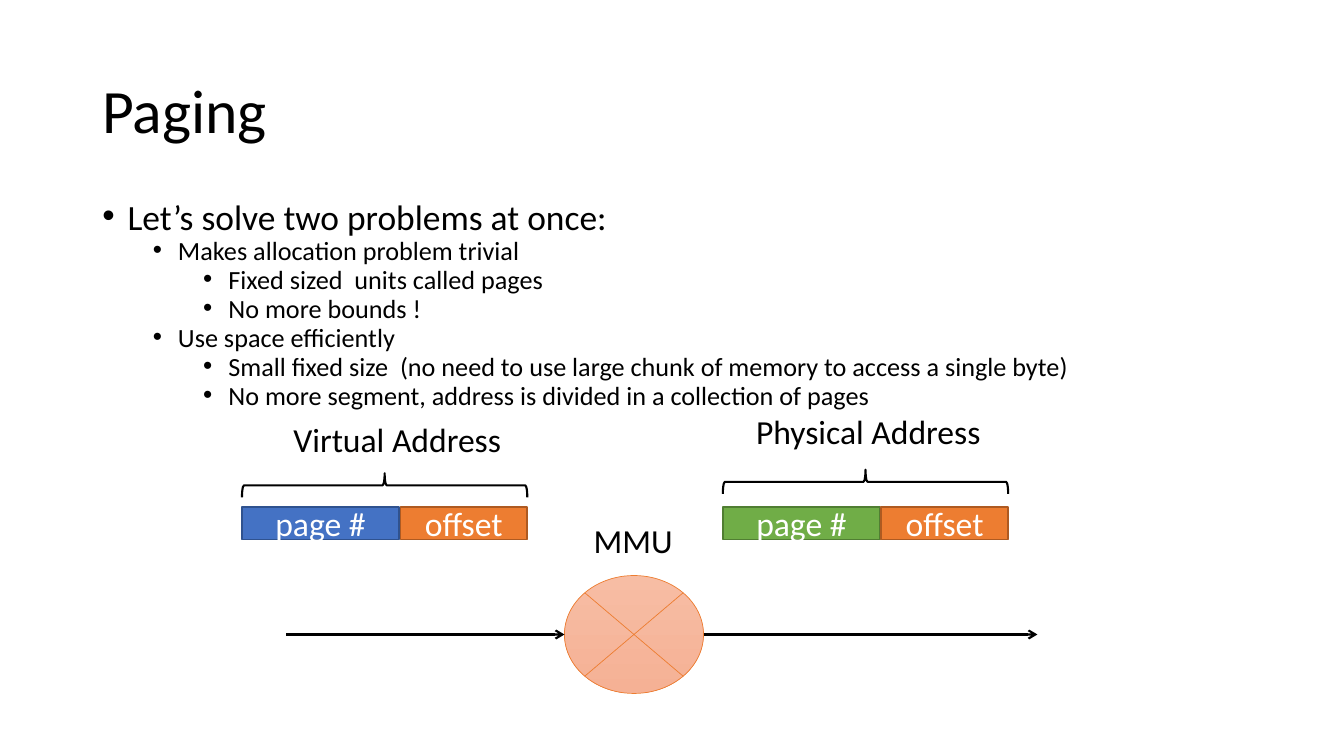
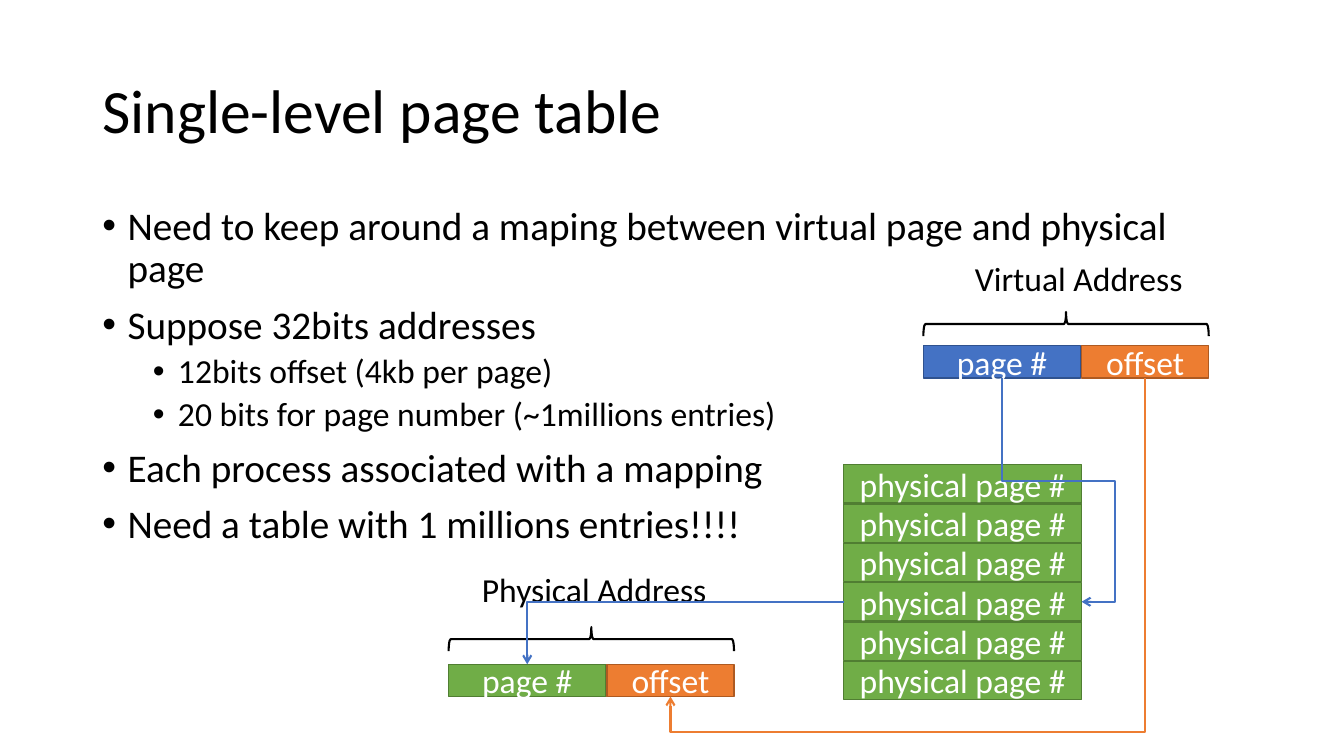
import dataclasses

import pptx
import pptx.dml.color
import pptx.enum.shapes
import pptx.enum.text
import pptx.oxml.ns
import pptx.util
from lxml import etree

RGB = pptx.dml.color.RGBColor
SHAPE = pptx.enum.shapes.MSO_SHAPE
CONNECTOR = pptx.enum.shapes.MSO_CONNECTOR
ANCHOR = pptx.enum.text.MSO_ANCHOR
ALIGN = pptx.enum.text.PP_ALIGN
Pt = pptx.util.Pt
qn = pptx.oxml.ns.qn

BLACK = RGB(0x00, 0x00, 0x00)
WHITE = RGB(0xFF, 0xFF, 0xFF)
BLUE = RGB(0x44, 0x72, 0xC4)
BLUE_EDGE = RGB(0x2F, 0x52, 0x8F)
ORANGE = RGB(0xED, 0x7D, 0x31)
ORANGE_EDGE = RGB(0xAE, 0x5A, 0x21)
GREEN = RGB(0x70, 0xAD, 0x47)
GREEN_EDGE = RGB(0x50, 0x7E, 0x32)
PEACH_TOP = RGB(0xF7, 0xBD, 0xA4)
PEACH_BOTTOM = RGB(0xF5, 0xB1, 0x95)

FONT = "Calibri"
SLIDE_WIDTH = pptx.util.Inches(13.33)
SLIDE_HEIGHT = pptx.util.Inches(7.5)
TITLE_BOX = (6.88, 5.33, 86.25, 19.33)
BODY_BOX = (6.88, 26.67, 86.25, 63.47)
LABEL_HEIGHT = 7.2
ADDRESS_WIDTH, ADDRESS_HEIGHT = 21.23, 4.27
PAGE_WIDTH, OFFSET_START, OFFSET_WIDTH = 11.7, 11.78, 9.45
BRACE_HEIGHT = 3.2


@dataclasses.dataclass
class AddressKind:
    """Wording, colours and label placement of one kind of address."""

    label: str
    fill: RGB
    edge: RGB
    label_shift: float
    label_width: float
    label_rise: float
    brace_rise: float


VIRTUAL = AddressKind("Virtual Address", BLUE, BLUE_EDGE, 2.85, 17.7, 12.6, 4.47)
PHYSICAL = AddressKind("Physical Address", GREEN, GREEN_EDGE, 1.5, 18.98, 13.6, 4.93)

PAGING_POINTS = [
    (0, "Let’s solve two problems at once:"),
    (1, "Makes allocation problem trivial"),
    (2, "Fixed sized  units called pages"),
    (2, "No more bounds !"),
    (1, "Use space efficiently"),
    (2, "Small fixed size  (no need to use large chunk of memory to access a single byte)"),
    (2, "No more segment, address is divided in a collection of pages"),
]
TABLE_POINTS = [
    (0, "Need to keep around a maping between virtual page and physical page"),
    (0, "Suppose 32bits addresses"),
    (1, "12bits offset (4kb per page)"),
    (1, "20 bits for page number (~1millions entries)"),
    (0, "Each process associated with a mapping"),
    (0, "Need a table with 1 millions entries!!!!"),
]


def across(share):
    """Turn a percentage of the slide width into a length."""
    return pptx.util.Emu(round(SLIDE_WIDTH * share / 100))


def down(share):
    """Turn a percentage of the slide height into a length."""
    return pptx.util.Emu(round(SLIDE_HEIGHT * share / 100))


def place(box):
    """Turn a box in percentages into left, top, width and height."""
    left, top, width, height = box
    return across(left), down(top), across(width), down(height)


def set_font(para, size, color):
    """Give a paragraph the shared typeface with a size and colour."""
    para.font.name = FONT
    para.font.size = Pt(size)
    para.font.color.rgb = color


def set_margins(frame):
    """Give a diagram text frame its wider margins."""
    frame.margin_left = frame.margin_right = pptx.util.Inches(0.13)
    frame.margin_top = frame.margin_bottom = pptx.util.Inches(0.07)


def add_title(page, text):
    """Add the slide title."""
    frame = page.shapes.add_textbox(*place(TITLE_BOX)).text_frame
    frame.word_wrap = True
    frame.vertical_anchor = ANCHOR.MIDDLE
    para = frame.paragraphs[0]
    para.text = text
    para.line_spacing = 0.9
    set_font(para, 44, BLACK)


def add_points(page, points, top_size, sub_size, spacing):
    """Add the bulleted body text."""
    frame = page.shapes.add_textbox(*place(BODY_BOX)).text_frame
    frame.word_wrap = True
    for index, (level, text) in enumerate(points):
        para = frame.add_paragraph() if index else frame.paragraphs[0]
        para.text = text
        para.level = level
        para.line_spacing = spacing
        para.space_before = Pt(5 if level else 10)
        set_font(para, sub_size if level else top_size, BLACK)
        props = para._p.get_or_add_pPr()
        props.set("marL", str(pptx.util.Inches(0.25 + 0.5 * level)))
        props.set("indent", str(pptx.util.Inches(-0.25)))
        etree.SubElement(props, qn("a:buFont"), typeface="Arial")
        etree.SubElement(props, qn("a:buChar"), char="•")


def add_label(page, box, text):
    """Add a one-line diagram label."""
    frame = page.shapes.add_textbox(*place(box)).text_frame
    frame.word_wrap = False
    frame.auto_size = pptx.enum.text.MSO_AUTO_SIZE.SHAPE_TO_FIT_TEXT
    set_margins(frame)
    frame.paragraphs[0].text = text
    set_font(frame.paragraphs[0], 24, BLACK)


def add_field(page, box, text, fill, edge):
    """Add a filled rectangle with centred white text."""
    field = page.shapes.add_shape(SHAPE.RECTANGLE, *place(box))
    field.shadow.inherit = False
    field.fill.solid()
    field.fill.fore_color.rgb = fill
    field.line.color.rgb = edge
    field.line.width = Pt(1)
    frame = field.text_frame
    frame.word_wrap = False
    frame.vertical_anchor = ANCHOR.MIDDLE
    set_margins(frame)
    para = frame.paragraphs[0]
    para.text = text
    para.alignment = ALIGN.CENTER
    set_font(para, 24, WHITE)
    return field


def add_brace(page, box):
    """Add a brace that spans the box and points upward."""
    left, top, width, height = place(box)
    shift = (width - height) // 2
    brace = page.shapes.add_shape(
        SHAPE.LEFT_BRACE, left + shift, top - shift, height, width)
    brace.rotation = 90
    brace.shadow.inherit = False
    brace.fill.background()
    brace.line.color.rgb = BLACK
    brace.line.width = Pt(1.5)


def add_address(page, left, top, kind):
    """Add a labelled address and return its page and offset fields."""
    number = add_field(page, (left, top, PAGE_WIDTH, ADDRESS_HEIGHT),
                       "page #", kind.fill, kind.edge)
    offset = add_field(page, (left + OFFSET_START, top, OFFSET_WIDTH, ADDRESS_HEIGHT),
                       "offset", ORANGE, ORANGE_EDGE)
    add_brace(page, (left, top - kind.brace_rise, ADDRESS_WIDTH, BRACE_HEIGHT))
    add_label(page, (left + kind.label_shift, top - kind.label_rise,
                     kind.label_width, LABEL_HEIGHT), kind.label)
    return number, offset


def style_arrow(arrow, color):
    """Give a connector its colour, arrowhead and no shadow."""
    arrow.line.color.rgb = color
    arrow.line.width = Pt(1.5)
    props = arrow._element.spPr
    etree.SubElement(props.find(qn("a:ln")), qn("a:tailEnd"), type="arrow")
    etree.SubElement(props, qn("a:effectLst"))


def add_flow(page, start, end, height):
    """Add a horizontal black arrow."""
    arrow = page.shapes.add_connector(
        CONNECTOR.STRAIGHT, across(start), down(height), across(end), down(height))
    style_arrow(arrow, BLACK)


def add_route(page, begin, end, color, turn, flip="", bends=()):
    """Join two (shape, side) ends with a bent arrow turned by an angle."""
    arrow = page.shapes.add_connector(CONNECTOR.ELBOW, 0, 0, 0, 0)
    arrow.begin_connect(*begin)
    arrow.end_connect(*end)
    if turn % 180:
        width, height = arrow.width, arrow.height
        arrow.left += (width - height) // 2
        arrow.top += (height - width) // 2
        arrow.width, arrow.height = height, width
    frame = arrow._element.spPr.find(qn("a:xfrm"))
    for name in ("flipH", "flipV"):
        frame.set(name, "1" if name == flip else "0")
    frame.set("rot", str(turn * 60000))
    outline = arrow._element.spPr.find(qn("a:prstGeom"))
    outline.set("prst", f"bentConnector{len(bends) + 2}")
    guides = outline.find(qn("a:avLst"))
    if guides is None:
        guides = etree.SubElement(outline, qn("a:avLst"))
    for index, bend in enumerate(bends, 1):
        etree.SubElement(guides, qn("a:gd"), name=f"adj{index}",
                         fmla=f"val {round(bend * 100000)}")
    style_arrow(arrow, color)


def add_mmu(page, box):
    """Add the MMU junction with its label and the arrows through it."""
    left, top, width, height = box
    junction = page.shapes.add_shape(SHAPE.FLOWCHART_SUMMING_JUNCTION, *place(box))
    junction.shadow.inherit = False
    junction.fill.gradient()
    junction.fill.gradient_angle = 270
    for stop, color, position in zip(
            junction.fill.gradient_stops, (PEACH_TOP, PEACH_BOTTOM), (0, 1)):
        stop.color.rgb = color
        stop.position = position
    junction.line.color.rgb = ORANGE
    junction.line.width = Pt(0.5)
    middle = top + height / 2
    add_flow(page, left - 2 * width, left, middle)
    add_flow(page, left + width, left + 3.4 * width, middle)
    add_label(page, (left + 1.2, top - 8.26, 7.95, LABEL_HEIGHT), "MMU")


def add_page_table(page, box, rows):
    """Add the stacked table entries and return them."""
    left, top, width, height = box
    pitch = height / rows
    return [add_field(page, (left, top + row * pitch, width, 5.07),
                      "physical page #", GREEN, GREEN_EDGE) for row in range(rows)]


def build_paging(page):
    """Fill the slide on paging."""
    add_title(page, "Paging")
    add_points(page, PAGING_POINTS, 25.3, 18.7, 0.7)
    add_mmu(page, (42, 76.13, 10.35, 15.6))
    add_address(page, 18, 67.07, VIRTUAL)
    add_address(page, 53.78, 67.07, PHYSICAL)


def build_page_table(page):
    """Fill the slide on the single-level page table."""
    add_title(page, "Single-level page table")
    add_points(page, TABLE_POINTS, 28, 24, 0.9)
    physical_page, physical_offset = add_address(page, 33.38, 87.87, PHYSICAL)
    virtual_page, virtual_offset = add_address(page, 68.7, 45.73, VIRTUAL)
    entry = add_page_table(page, (62.78, 61.47, 17.7, 31.2), 6)[3]
    add_route(page, (virtual_page, 2), (entry, 3), BLUE, 270, "flipH", (0.46, 1.42))
    add_route(page, (entry, 1), (physical_page, 0), BLUE, 180, "flipV")
    add_route(page, (virtual_offset, 2), (physical_offset, 2), ORANGE, 90, bends=(1.11,))


def main():
    """Build and save the deck."""
    deck = pptx.Presentation()
    deck.slide_width = SLIDE_WIDTH
    deck.slide_height = SLIDE_HEIGHT
    for build in (build_paging, build_page_table):
        build(deck.slides.add_slide(deck.slide_layouts[6]))
    deck.save("out.pptx")


if __name__ == "__main__":
    main()
